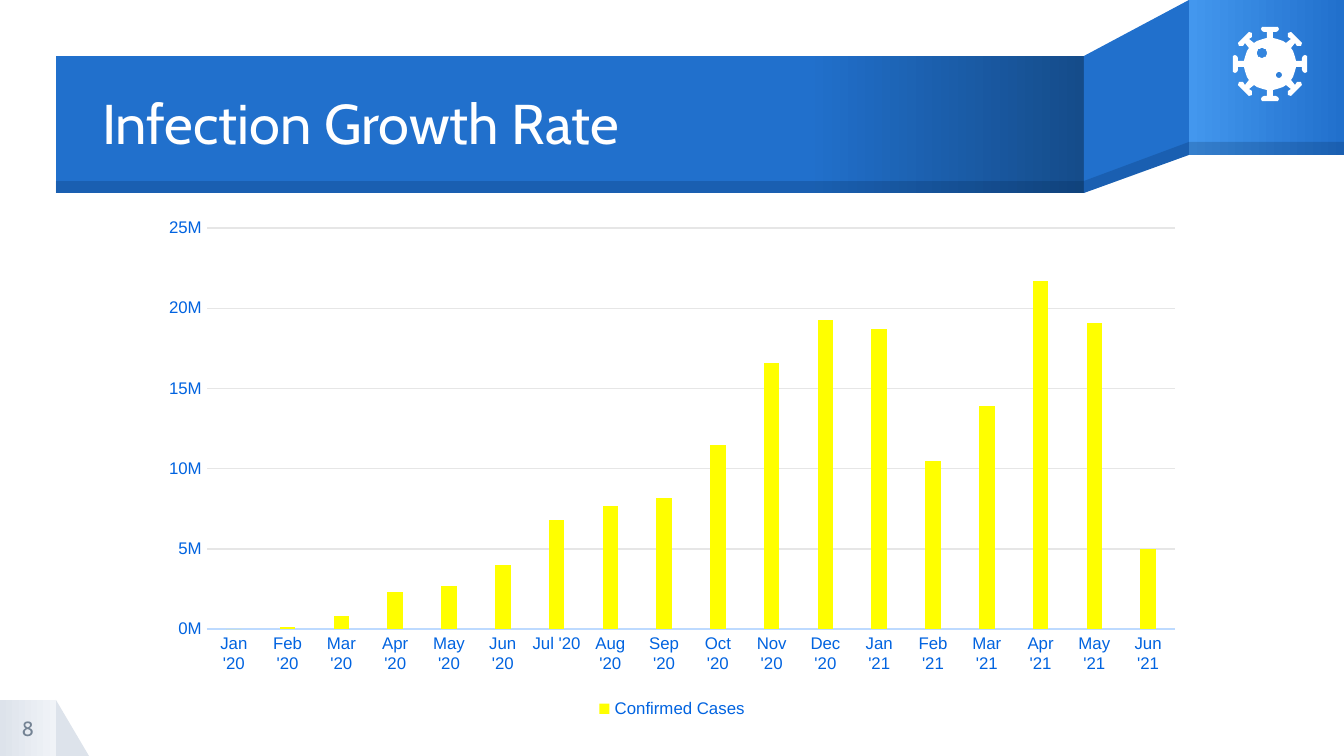
from math import cos, pi, sin

from lxml import etree
from pptx import Presentation
from pptx.chart.data import CategoryChartData
from pptx.dml.color import RGBColor
from pptx.enum.chart import XL_CHART_TYPE, XL_LEGEND_POSITION, XL_TICK_MARK
from pptx.enum.shapes import MSO_SHAPE
from pptx.enum.text import MSO_ANCHOR, PP_ALIGN
from pptx.oxml.ns import qn
from pptx.util import Pt

RECT, RIGHT_TRIANGLE = MSO_SHAPE.RECTANGLE, MSO_SHAPE.RIGHT_TRIANGLE
MIDDLE, LEFT, CENTER = MSO_ANCHOR.MIDDLE, PP_ALIGN.LEFT, PP_ALIGN.CENTER
NO_TICK = XL_TICK_MARK.NONE

PX = 914400 / 134.4
WHITE = RGBColor(0xFF, 0xFF, 0xFF)
BLUE = RGBColor(0x21, 0x70, 0xCC)
LIGHT_BLUE = RGBColor(0x43, 0x97, 0xEE)
DARK_BLUE = RGBColor(0x15, 0x4C, 0x8A)
NAVY = RGBColor(0x00, 0x1F, 0x46)
LABEL_BLUE = RGBColor(0x00, 0x63, 0xE0)
AXIS_BLUE = RGBColor(0xBD, 0xDA, 0xFF)
GRID_GRAY = RGBColor(0xE6, 0xE6, 0xE6)
FOLD_GRAY = RGBColor(0xDD, 0xE3, 0xEB)
PALE_GRAY = RGBColor(0xF0, 0xF3, 0xF7)
NUMBER_GRAY = RGBColor(0x74, 0x83, 0x94)
YELLOW = RGBColor(0xFF, 0xFF, 0x00)


def px(*lengths):
    """Turn pixel lengths into EMU."""
    return [round(length * PX) for length in lengths]


def paint(shape, colors, start=0, opacity=100):
    """Fill with one colour, or with a left-to-right gradient from start."""
    shape.shadow.inherit = False
    shape.line.fill.background()
    if len(colors) == 1:
        shape.fill.solid()
        shape.fill.fore_color.rgb = colors[0]
        if opacity < 100:
            color = shape.fill._xPr.find(qn("a:solidFill"))[0]
            etree.SubElement(color, qn("a:alpha")).set("val", str(opacity * 1000))
        return
    shape.fill.gradient()
    shape.fill.gradient_angle = 0
    for stop, color, position in zip(shape.fill.gradient_stops, colors, (start, 1)):
        stop.color.rgb = color
        stop.position = position


deck = Presentation()
deck.slide_width, deck.slide_height = px(1344, 756)
page = deck.slides.add_slide(deck.slide_layouts[5])
shapes = page.shapes

# Page corner, ribbon and the shaded lower edge of the ribbon
for kind, bounds, colors, start, opacity in (
    (RIGHT_TRIANGLE, (56, 700, 33, 56), [FOLD_GRAY], 0, 100),
    (RECT, (0, 700, 56, 56), [FOLD_GRAY, PALE_GRAY], 0, 100),
    (RECT, (1189, 0, 155, 155), [LIGHT_BLUE, BLUE], 0, 100),
    (RECT, (56, 56, 1028, 137), [BLUE, DARK_BLUE], 0.73, 100),
    (RECT, (1189, 142, 155, 13), [NAVY], 0, 20),
    (RECT, (56, 181, 1028, 12), [NAVY], 0, 20),
):
    paint(shapes.add_shape(kind, *px(*bounds)), colors, start, opacity)

for corners, color, opacity in (
    ([(1189, 0), (1084, 56), (1084, 193), (1189, 155)], BLUE, 100),
    ([(1189, 142), (1084, 181), (1084, 193), (1189, 155)], NAVY, 20),
):
    outline = shapes.build_freeform(*corners[0], scale=PX)
    outline.add_line_segments(corners[1:])
    paint(outline.convert_to_shape(), [color], opacity=opacity)

# Virus icon: a round body with eight capped spikes and two holes
center_x, center_y, body_radius = 1270, 64, 26
spike = [(26, -3), (32, -3), (32, -6), (33, -8), (35, -9), (37, -8), (37, 8),
         (35, 9), (33, 8), (32, 6), (32, 3), (26, 3)]
virus = []
for arm in range(8):
    turn = arm * pi / 4
    virus += [(center_x + out * cos(turn) - side * sin(turn),
               center_y + out * sin(turn) + side * cos(turn)) for out, side in spike]
    for step in range(1, 6):
        angle = turn + step * pi / 24
        virus.append((center_x + body_radius * cos(angle),
                      center_y + body_radius * sin(angle)))
outline = shapes.build_freeform(*virus[0], scale=PX)
outline.add_line_segments(virus[1:])
for hole_x, hole_y, radius in ((1262, 53, 5), (1279, 75, 3)):
    ring = [(hole_x + radius * cos(step * pi / 12), hole_y - radius * sin(step * pi / 12))
            for step in range(24)]
    outline.move_to(*ring[0])
    outline.add_line_segments(ring[1:])
paint(outline.convert_to_shape(), [WHITE])

# Title and page number
title = shapes.title
title.left, title.top, title.width, title.height = px(90, 58, 993, 136)
title.element.getparent().append(title.element)
number = shapes.add_textbox(*px(0, 700, 56, 56))
for box, text, indent, align, size, color in (
    (title, "Infection Growth Rate", 12, LEFT, 30, WHITE),
    (number, "8", 0, CENTER, 11, NUMBER_GRAY),
):
    frame = box.text_frame
    for name, value in {
        "word_wrap": True, "vertical_anchor": MIDDLE, "margin_left": px(indent)[0],
        "margin_top": 0, "margin_right": 0, "margin_bottom": 0,
    }.items():
        setattr(frame, name, value)
    para = frame.paragraphs[0]
    para.alignment = align
    span = para.add_run()
    span.text = text
    span.font.name, span.font.size = "Cabin", Pt(size)
    span.font.color.rgb = color
title.text_frame.paragraphs[0].line_spacing = 0.9

# Monthly cases
months = "Jan Feb Mar Apr May Jun Jul Aug Sep Oct Nov Dec".split()
cases = [0, 100000, 800000, 2300000, 2700000, 4000000, 6800000, 7700000, 8200000,
         11500000, 16600000, 19300000, 18700000, 10500000, 13900000, 21700000,
         19100000, 5000000]
data = CategoryChartData()
data.categories = [f"{months[i % 12]} '{20 + i // 12}" for i in range(len(cases))]
data.add_series("Confirmed Cases", cases)
chart = shapes.add_chart(XL_CHART_TYPE.COLUMN_CLUSTERED, *px(148, 208, 1048, 516), data).chart
chart.has_title = False
chart.has_legend = True
chart.legend.position = XL_LEGEND_POSITION.BOTTOM
chart.legend.include_in_layout = False

months_axis, cases_axis = chart.category_axis, chart.value_axis
for font, size, color in (
    (chart.font, 10, NAVY),
    (chart.legend.font, 9, LABEL_BLUE),
    (months_axis.tick_labels.font, 9, LABEL_BLUE),
    (cases_axis.tick_labels.font, 9, LABEL_BLUE),
):
    font.name, font.size = "Arial", Pt(size)
    font.color.rgb = color
for axis in (months_axis, cases_axis):
    axis.major_tick_mark = axis.minor_tick_mark = NO_TICK
for name, value in {"minimum_scale": 0, "maximum_scale": 25000000,
                    "major_unit": 5000000, "has_major_gridlines": True}.items():
    setattr(cases_axis, name, value)
cases_axis.tick_labels.number_format = '#,##0,,"M"'
cases_axis.tick_labels.number_format_is_linked = False
cases_axis.format.line.fill.background()
for line, color in ((months_axis.format.line, AXIS_BLUE),
                    (cases_axis.major_gridlines.format.line, GRID_GRAY)):
    line.color.rgb = color
    line.width = Pt(0.75)

plot = chart.plots[0]
plot.gap_width, plot.overlap, plot.vary_by_categories = 246, -28, False
columns = plot.series[0].format.fill
columns.solid()
columns.fore_color.rgb = YELLOW

deck.save("out.pptx")
